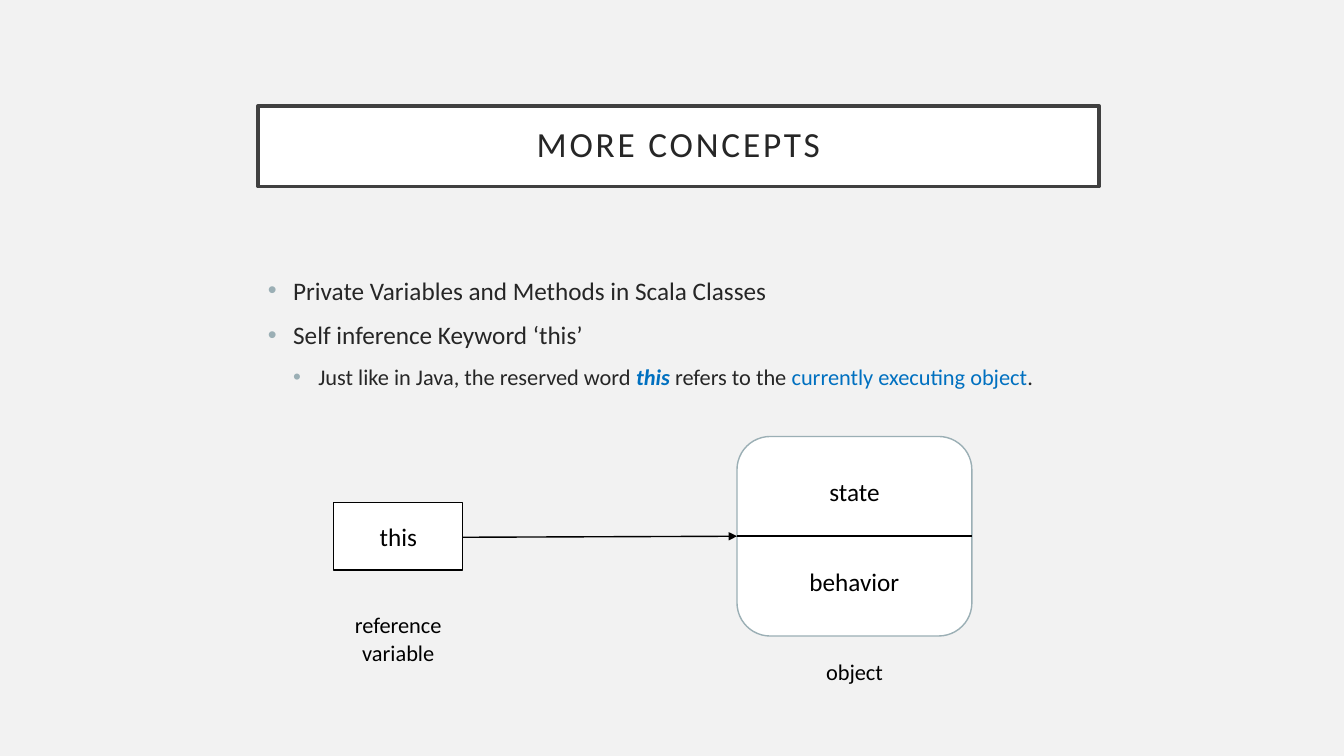
from dataclasses import dataclass

from lxml.etree import SubElement
from pptx import Presentation
from pptx.dml.color import RGBColor
from pptx.enum.shapes import MSO_CONNECTOR as Connector, MSO_SHAPE as Shape
from pptx.enum.text import MSO_ANCHOR as Anchor, PP_ALIGN as Align
from pptx.oxml.ns import qn
from pptx.util import Inches, Pt


@dataclass(frozen=True)
class Theme:
    """Colours, typeface and type sizes of the slide."""

    font: str = "Calibri"
    background: str = "F2F2F2"
    panel: str = "FFFFFF"
    frame: str = "404040"
    ink: str = "262626"
    black: str = "000000"
    accent: str = "9BAFB5"
    highlight: str = "0070C0"
    title_size: float = 25.2
    body_size: float = 18
    small_size: float = 16


THEME = Theme()
WIDTH, HEIGHT = 13.33, 7.5


def color(value):
    """Turn a hex string into a colour."""
    return RGBColor.from_string(value)


def add_text(paragraph, text, size=THEME.body_size, ink=THEME.black,
             bold=False, italic=False, tracking=0):
    """Append a formatted run to a paragraph."""
    run = paragraph.add_run()
    run.text = text
    font = run.font
    font.name, font.size = THEME.font, Pt(size)
    font.bold, font.italic = bold, italic
    font.color.rgb = color(ink)
    if tracking:
        run._r.get_or_add_rPr().set("spc", str(int(tracking * 100)))


def add_panel(slide, kind, box, line, line_width):
    """Draw a white outlined shape and return its text frame."""
    shape = slide.shapes.add_shape(kind, *map(Inches, box))
    shape.shadow.inherit = False
    shape.fill.solid()
    shape.fill.fore_color.rgb = color(THEME.panel)
    shape.line.color.rgb = color(line)
    shape.line.width = Pt(line_width)
    frame = shape.text_frame
    frame.word_wrap = True
    frame.vertical_anchor = Anchor.MIDDLE
    frame.paragraphs[0].alignment = Align.CENTER
    return frame


def add_text_box(slide, box):
    """Add a wrapping text box and return its text frame."""
    frame = slide.shapes.add_textbox(*map(Inches, box)).text_frame
    frame.word_wrap = True
    return frame


def add_line(slide, start, end, width, arrow=False):
    """Draw a black line, with an arrowhead at its end if asked."""
    connector = slide.shapes.add_connector(
        Connector.STRAIGHT, *map(Inches, (*start, *end)))
    connector.line.color.rgb = color(THEME.black)
    connector.line.width = Pt(width)
    if arrow:
        SubElement(connector.line._get_or_add_ln(), qn("a:tailEnd"), type="triangle")
    SubElement(connector._element.spPr, qn("a:effectLst"))


def set_bullet(paragraph, level):
    """Give a paragraph a hanging bullet at the given level."""
    paragraph.level = level
    properties = paragraph._p.get_or_add_pPr()
    properties.set("marL", str(Inches(0.25 * (level + 1))))
    properties.set("indent", str(-Inches(0.25)))
    bullet_color = SubElement(properties, qn("a:buClr"))
    SubElement(bullet_color, qn("a:srgbClr"), val=THEME.accent)
    SubElement(properties, qn("a:buFont"), typeface="Arial")
    SubElement(properties, qn("a:buChar"), char="•")


def add_title(slide, box, text):
    """Draw the framed title."""
    frame = add_panel(slide, Shape.RECTANGLE, box, THEME.frame, 2.5)
    frame.paragraphs[0].line_spacing = 0.9
    add_text(frame.paragraphs[0], text, size=THEME.title_size,
             ink=THEME.ink, tracking=2)


def add_bullets(slide, box, bullets):
    """Write bullets given as a level and a list of formatted runs."""
    frame = add_text_box(slide, box)
    for index, (level, runs) in enumerate(bullets):
        paragraph = frame.add_paragraph() if index else frame.paragraphs[0]
        paragraph.space_before = Pt(10 if index else 0)
        set_bullet(paragraph, level)
        size = THEME.small_size if level else THEME.body_size
        for text, style in runs:
            add_text(paragraph, text, size=size, **{"ink": THEME.ink, **style})


def add_caption(slide, box, words):
    """Write a centred caption, its words parted by body-size spaces."""
    paragraph = add_text_box(slide, box).paragraphs[0]
    paragraph.alignment = Align.CENTER
    for index, word in enumerate(words):
        if index:
            add_text(paragraph, " ")
        add_text(paragraph, word, size=THEME.small_size)


def add_reference_diagram(slide, box):
    """Draw a reference variable pointing at an object, with captions."""
    left, top, width, height = box
    object_width, object_height = 2.33, 1.98
    variable_width, variable_height = 1.28, 0.67
    right = left + width
    object_left = right - object_width
    middle = top + object_height / 2

    frame = add_panel(slide, Shape.ROUNDED_RECTANGLE,
                      (object_left, top, object_width, object_height),
                      THEME.accent, 1)
    add_text(frame.paragraphs[0], "state")
    behavior = frame.add_paragraph()
    behavior.alignment = Align.CENTER
    behavior.space_before = Pt(43)
    add_text(behavior, "behavior")

    variable_top = middle - variable_height / 2
    frame = add_panel(slide, Shape.RECTANGLE,
                      (left, variable_top, variable_width, variable_height),
                      THEME.black, 1)
    add_text(frame.paragraphs[0], "this")

    add_line(slide, (object_left, middle), (right, middle), 1.5)
    add_line(slide, (left + variable_width, middle + 0.01),
             (object_left, middle), 1, arrow=True)

    add_caption(slide, (left, top + height - 0.86, variable_width, 0.67),
                ["reference", "variable"])
    caption_left = object_left + (object_width - variable_width) / 2
    add_caption(slide, (caption_left, top + height - 0.37, variable_width, 0.37),
                ["object"])


def build_slide(presentation):
    """Lay out the title, the bullets and the diagram."""
    slide = presentation.slides.add_slide(presentation.slide_layouts[6])
    slide.background.fill.solid()
    slide.background.fill.fore_color.rgb = color(THEME.background)
    left, width = 2.56, 8.34
    add_title(slide, (left, HEIGHT * 0.14, width, 0.8), "MORE CONCEPTS")
    add_bullets(slide, (left, 2.68, width, 1.48), [
        (0, [("Private Variables and Methods in Scala Classes", {})]),
        (0, [("Self inference Keyword ‘this’", {})]),
        (1, [("Just like in Java, the reserved word ", {}),
             ("this", {"ink": THEME.highlight, "bold": True, "italic": True}),
             (" refers to the ", {}),
             ("currently executing object", {"ink": THEME.highlight}),
             (".", {})]),
    ])
    add_reference_diagram(slide, (left + 0.75, 4.33, 6.33, 2.52))


def main():
    """Create the presentation and save it."""
    presentation = Presentation()
    presentation.slide_width = Inches(WIDTH)
    presentation.slide_height = Inches(HEIGHT)
    build_slide(presentation)
    presentation.save("out.pptx")


if __name__ == "__main__":
    main()
